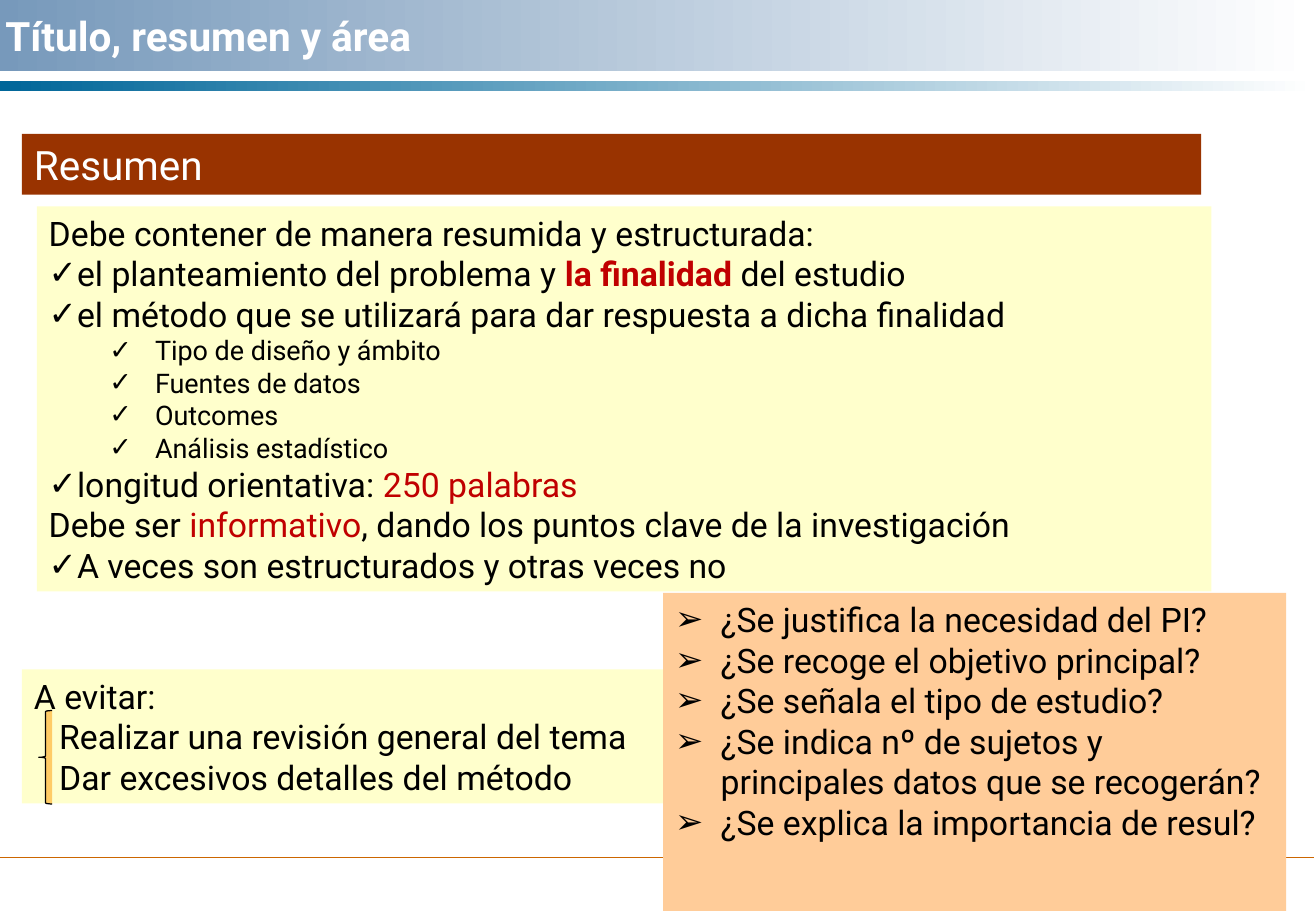
from lxml import etree
from pptx import Presentation, util as u
from pptx.dml.color import RGBColor
from pptx.enum import shapes, text
from pptx.oxml.ns import qn

COLORS = {
    "white": "FFFFFF", "black": "000000", "red": "C00000",
    "steel": "7799BB", "teal": "006699", "rule": "CC6600",
    "brown": "993300", "cream": "FFFFCC", "peach": "FFCC99", "amber": "FFCC66",
}
FONT = "Roboto"
CHECK, ARROW = "✓", "➢"


def rgb(name):
    return RGBColor.from_string(COLORS[name])


class SlideBuilder:
    """Draws styled elements on one slide; all lengths are points."""

    def __init__(self, page):
        self.page = page

    def shape(self, kind, place, fill, line=None):
        box = self.page.shapes.add_shape(kind, *map(u.Pt, place))
        box.shadow.inherit = False
        box.fill.solid()
        box.fill.fore_color.rgb = rgb(fill)
        if line:
            box.line.color.rgb = rgb(line)
            box.line.width = u.Pt(0.75)
        else:
            box.line.fill.background()
        return box

    def fading_band(self, place, color):
        band = self.shape(shapes.MSO_SHAPE.RECTANGLE, place, color)
        band.fill.gradient()
        band.fill.gradient_angle = 0
        for stop, name in zip(band.fill.gradient_stops, (color, "white")):
            stop.color.rgb = rgb(name)

    def rule(self, start, end, color):
        line = self.page.shapes.add_connector(
            shapes.MSO_CONNECTOR.STRAIGHT, *map(u.Pt, start + end))
        line.line.color.rgb = rgb(color)
        line.line.width = u.Pt(0.75)
        etree.SubElement(line._element.spPr, qn("a:effectLst"))

    def title(self, place, words):
        """Fills the title placeholder and lifts it above what is drawn so far."""
        title = self.page.shapes.title
        title.left, title.top, title.width, title.height = map(u.Pt, place)
        frame = title.text_frame
        frame.auto_size = text.MSO_AUTO_SIZE.NONE
        frame.vertical_anchor = text.MSO_ANCHOR.MIDDLE
        self.paragraph(frame.paragraphs[0], [words], size=24, color="white", bold=True)
        self.page.shapes._spTree.append(title._element)

    def text_panel(self, place, fill, lines):
        """Each line is a pair: its spans and its paragraph options."""
        box = self.shape(shapes.MSO_SHAPE.RECTANGLE, place, fill)
        frame = box.text_frame
        frame.word_wrap = True
        frame.vertical_anchor = text.MSO_ANCHOR.TOP
        for number, (spans, options) in enumerate(lines):
            para = frame.add_paragraph() if number else frame.paragraphs[0]
            self.paragraph(para, spans, **options)

    def paragraph(self, para, spans, size=20, color="black", bold=None,
                  bullet=None, left=0, hanging=0, level=0):
        """A span is plain text, or a tuple of text, colour and boldness."""
        para.alignment = text.PP_ALIGN.LEFT
        para.level = level
        properties = para._p.get_or_add_pPr()
        properties.set("marL", str(u.Pt(left)))
        properties.set("indent", str(u.Pt(-hanging)))
        if bullet:
            etree.SubElement(properties, qn("a:buFont"), typeface=FONT)
            etree.SubElement(properties, qn("a:buChar"), char=bullet)
        else:
            etree.SubElement(properties, qn("a:buNone"))
        para.font.name = FONT
        para.font.size = u.Pt(size)
        para.font.bold = bold
        para.font.color.rgb = rgb(color)
        for span in spans:
            run = para.add_run()
            if isinstance(span, str):
                run.text = span
            else:
                run.text, name, run.font.bold = span
                run.font.color.rgb = rgb(name)


def main():
    deck = Presentation()
    deck.slide_width, deck.slide_height = u.Pt(780.13), u.Pt(540)
    page = deck.slides.add_slide(deck.slide_layouts[5])
    slide = SlideBuilder(page)

    slide.fading_band((-0.7, 0, 779, 42), "steel")
    slide.rule((-0.7, 508.3), (779, 508.3), "rule")
    slide.fading_band((0, 48.2, 780, 5.8), "teal")

    slide.text_panel((13, 79.4, 699, 36), "brown",
                     [(["Resumen"], {"size": 24, "color": "white"})])

    check = {"bullet": CHECK}
    detail = {"bullet": CHECK, "size": 16, "left": 63, "hanging": 27, "level": 1}
    details = ["Tipo de diseño y ámbito", "Fuentes de datos",
               "Outcomes", "Análisis estadístico"]
    slide.text_panel((21.8, 122.4, 696.4, 228.2), "cream", [
        (["Debe contener de manera resumida y estructurada:"], {}),
        (["el planteamiento del problema y ", ("la finalidad", "red", True),
          " del estudio"], check),
        (["el método que se utilizará para dar respuesta a dicha finalidad"], check),
        *[([words], detail) for words in details],
        (["longitud orientativa: ", ("250 palabras", "red", None)], check),
        (["Debe ser ", ("informativo", "red", None),
          ", dando los puntos clave de la investigación"], {}),
        (["A veces son estructurados y otras veces no"], check),
    ])

    slide.title((-4, 0, 710, 42), "Título, resumen y área")

    slide.text_panel((13, 396.8, 395.3, 79.4), "cream", [
        (["A evitar:"], {}),
        (["Realizar una revisión general del tema"], {"left": 15}),
        (["Dar excesivos detalles del método"], {"left": 15}),
    ])
    slide.shape(shapes.MSO_SHAPE.LEFT_BRACE, (23, 421.2, 7.9, 55.4), "amber", "black")

    questions = ["¿Se justifica la necesidad del PI?",
                 "¿Se recoge el objetivo principal?",
                 "¿Se señala el tipo de estudio?",
                 "¿Se indica nº de sujetos y principales datos que se recogerán?",
                 "¿Se explica la importancia de resul?"]
    arrow = {"bullet": ARROW, "left": 27, "hanging": 27}
    slide.text_panel((393.1, 351.4, 369.4, 199.4), "peach",
                     [([words], arrow) for words in questions])

    deck.save("out.pptx")


if __name__ == "__main__":
    main()
